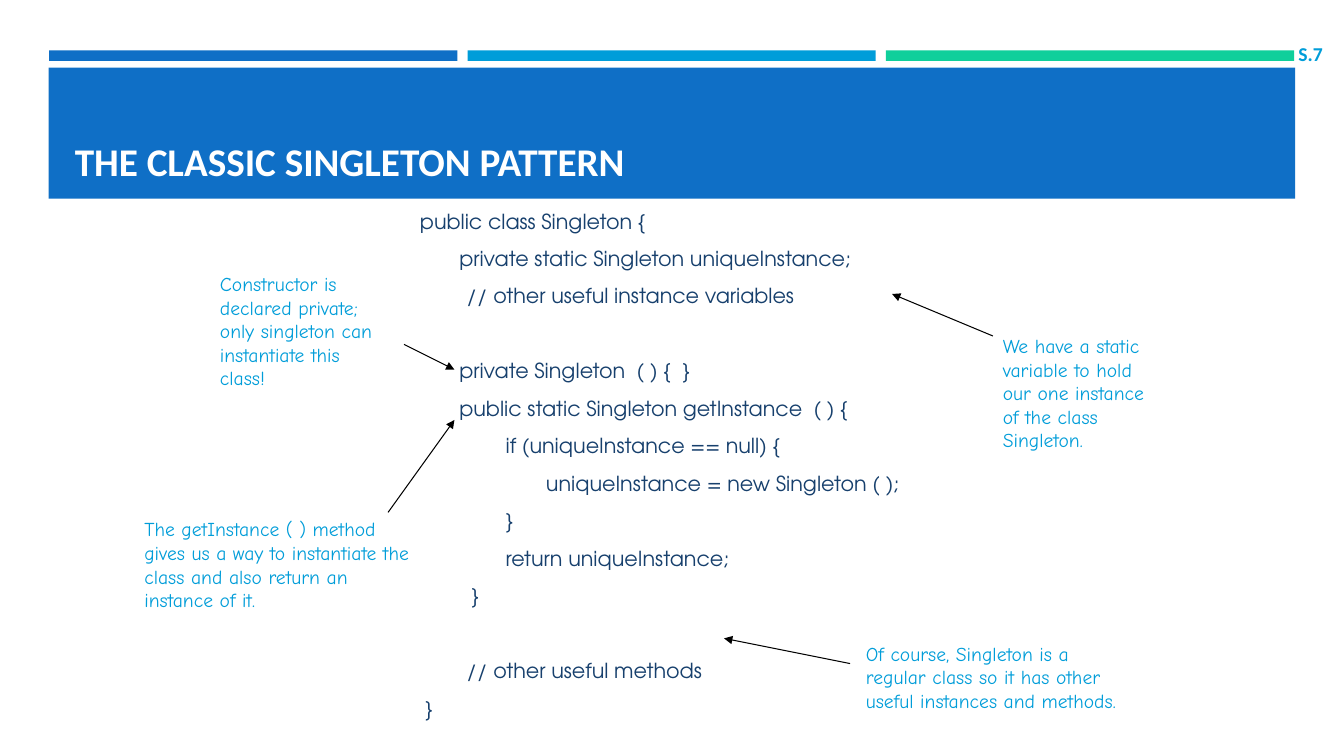
from dataclasses import dataclass

from pptx import Presentation
from pptx import util as u
from pptx.dml.color import RGBColor
from pptx.enum import shapes, text
from pptx.oxml.ns import qn
from lxml import etree

COLUMNS, ROWS = 160, 90
CELL = u.Inches(1 / 12)

BLUE = RGBColor(0x0F, 0x6F, 0xC6)
SKY = RGBColor(0x00, 0x9D, 0xD9)
GREEN = RGBColor(0x10, 0xCF, 0x9B)
NAVY = RGBColor(0x17, 0x40, 0x6D)
WHITE = RGBColor(0xFF, 0xFF, 0xFF)
BLACK = RGBColor(0, 0, 0)

TITLE_FONT = {"name": "Calibri", "size": u.Pt(28), "bold": True}
NUMBER_FONT = {"name": "Calibri", "size": u.Pt(14), "bold": True}
CODE_FONT = {"name": "TeX Gyre Adventor", "size": u.Pt(14.8)}
NOTE_FONT = {"name": "Comic Neue", "size": u.Pt(14)}

SPACE_BEFORE, SPACE_AFTER, LINE_PITCH = 3, 6, 26.75


@dataclass(frozen=True)
class Area:
    """A rectangle in grid columns and rows."""
    column: float
    row: float
    columns: float
    rows: float

    def lengths(self) -> list[int]:
        return [grid(n) for n in (self.column, self.row, self.columns, self.rows)]


@dataclass(frozen=True)
class CodeLine:
    wording: str
    indent: float  # inches
    gap: bool = False  # one line left free above


@dataclass(frozen=True)
class Callout:
    wording: str
    area: Area
    tail: tuple[float, float]
    head: tuple[float, float]


BANNER = Area(5.8, 8.04, 148.4, 15.6)
TITLE = Area(7.7, 9.24, 144.7, 13.3)
NUMBER = Area(152.3, 5.16, 6.36, 2.52)
CODE = Area(48.1, 27, 68, 61)
BAR, BAR_PITCH = Area(5.86, 6, 48.6, 1.25), 49.8

CODE_LINES = [
    CodeLine("public class Singleton {", 0.06),
    CodeLine("private static Singleton uniqueInstance;", 0.45),
    CodeLine("// other useful instance variables", 0.52),
    CodeLine("private Singleton  ( ) {  }", 0.45, gap=True),
    CodeLine("public static Singleton getInstance  ( ) {", 0.45),
    CodeLine("if (uniqueInstance == null) {", 0.91),
    CodeLine("uniqueInstance = new Singleton ( );", 1.31),
    CodeLine("}", 0.91),
    CodeLine("return uniqueInstance;", 0.91),
    CodeLine("}", 0.57),
    CodeLine("// other useful methods", 0.52, gap=True),
    CodeLine("}", 0.11),
]

CALLOUTS = [
    Callout("We have a static variable to hold our one instance of the class Singleton.",
            Area(118.2, 39.2, 21.2, 17.4), (118.2, 40), (106.2, 35)),
    Callout("Constructor is declared private; only singleton can instantiate this class!",
            Area(25, 31.8, 22.2, 17.4), (48.1, 41), (54.1, 44)),
    Callout("The getInstance ( ) method gives us a way to instantiate the class "
            "and also return an instance of it.",
            Area(16, 61, 35.2, 14.2), (46.2, 61), (54.1, 50)),
    Callout("Of course, Singleton is a regular class so it has other useful "
            "instances and methods.",
            Area(101.9, 75.8, 33.2, 14.2), (101.2, 79), (86.2, 76)),
]


def grid(cells: float) -> int:
    return round(cells * CELL)


def assign(target, values: dict) -> None:
    for name, value in values.items():
        setattr(target, name, value)


def place(shape, area: Area) -> None:
    assign(shape, dict(zip(("left", "top", "width", "height"), area.lengths())))


def write(para, wording: str, font: dict, colour: RGBColor) -> None:
    span = para.add_run()
    span.text = wording
    assign(span.font, font)
    span.font.color.rgb = colour


def add_block(page, area: Area, colour: RGBColor) -> None:
    block = page.shapes.add_shape(shapes.MSO_SHAPE.RECTANGLE, *area.lengths())
    block.shadow.inherit = False
    block.fill.solid()
    block.fill.fore_color.rgb = colour
    block.line.fill.background()


def add_frame(page, area: Area, **settings):
    """Add a wrapping text box and return its text frame."""
    frame = page.shapes.add_textbox(*area.lengths()).text_frame
    assign(frame, {"word_wrap": True, **settings})
    return frame


def add_title(page) -> None:
    title = page.shapes.title
    title.element.getparent().append(title.element)  # in front of the banner
    place(title, TITLE)
    assign(title.text_frame, {"vertical_anchor": text.MSO_ANCHOR.BOTTOM,
                              "auto_size": text.MSO_AUTO_SIZE.NONE})
    para = title.text_frame.paragraphs[0]
    para.alignment = text.PP_ALIGN.LEFT
    write(para, "THE CLASSIC SINGLETON PATTERN", TITLE_FONT, WHITE)


def add_number(page) -> None:
    frame = add_frame(page, NUMBER, vertical_anchor=text.MSO_ANCHOR.MIDDLE)
    para = frame.paragraphs[0]
    para.alignment = text.PP_ALIGN.RIGHT
    write(para, "S.7", NUMBER_FONT, SKY)


def add_code(page) -> None:
    frame = add_frame(page, CODE, vertical_anchor=text.MSO_ANCHOR.MIDDLE,
                      margin_bottom=u.Inches(0.42))
    for index, line in enumerate(CODE_LINES):
        para = frame.add_paragraph() if index else frame.paragraphs[0]
        before = SPACE_BEFORE + (LINE_PITCH if line.gap else 0)
        assign(para, {"space_before": u.Pt(before), "space_after": u.Pt(SPACE_AFTER)})
        para._p.get_or_add_pPr().set("marL", str(u.Inches(line.indent)))
        write(para, line.wording, CODE_FONT, NAVY)


def add_arrow(page, tail: tuple[float, float], head: tuple[float, float]) -> None:
    arrow = page.shapes.add_connector(shapes.MSO_CONNECTOR.STRAIGHT,
                                      *(grid(n) for n in tail + head))
    arrow.line.color.rgb = BLACK
    arrow.line.width = u.Pt(0.75)
    etree.SubElement(arrow.line._get_or_add_ln(), qn("a:tailEnd"), type="triangle")
    etree.SubElement(arrow._element.spPr, qn("a:effectLst"))


def add_callout(page, callout: Callout) -> None:
    add_arrow(page, callout.tail, callout.head)
    write(add_frame(page, callout.area).paragraphs[0], callout.wording, NOTE_FONT, SKY)


def main() -> None:
    deck = Presentation()
    assign(deck, {"slide_width": grid(COLUMNS), "slide_height": grid(ROWS)})
    page = deck.slides.add_slide(deck.slide_layouts.get_by_name("Title Only"))
    for index, colour in enumerate((BLUE, SKY, GREEN)):
        column = BAR.column + index * BAR_PITCH
        add_block(page, Area(column, BAR.row, BAR.columns, BAR.rows), colour)
    add_block(page, BANNER, BLUE)
    add_title(page)
    add_number(page)
    add_code(page)
    for callout in CALLOUTS:
        add_callout(page, callout)
    deck.save("out.pptx")


if __name__ == "__main__":
    main()
